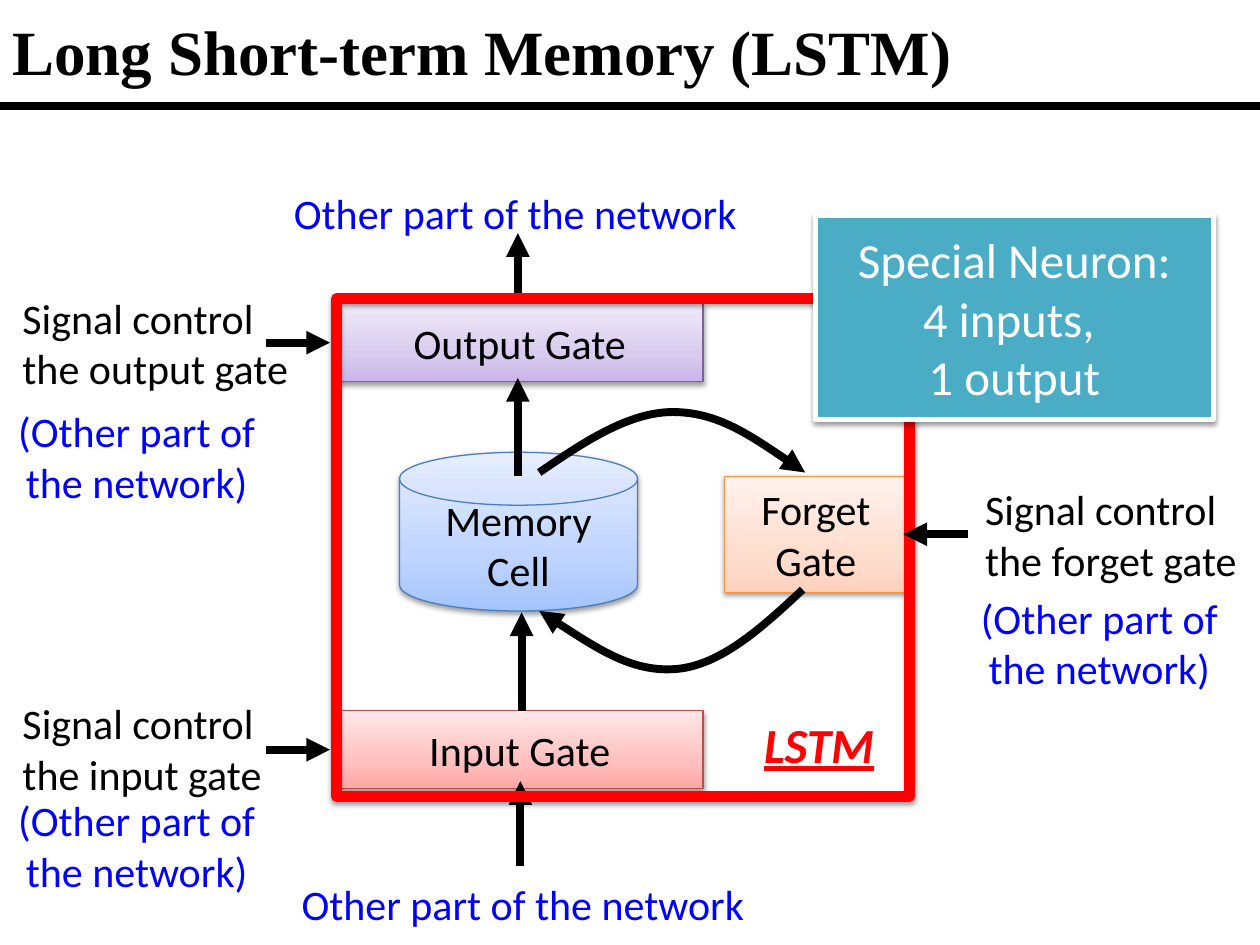
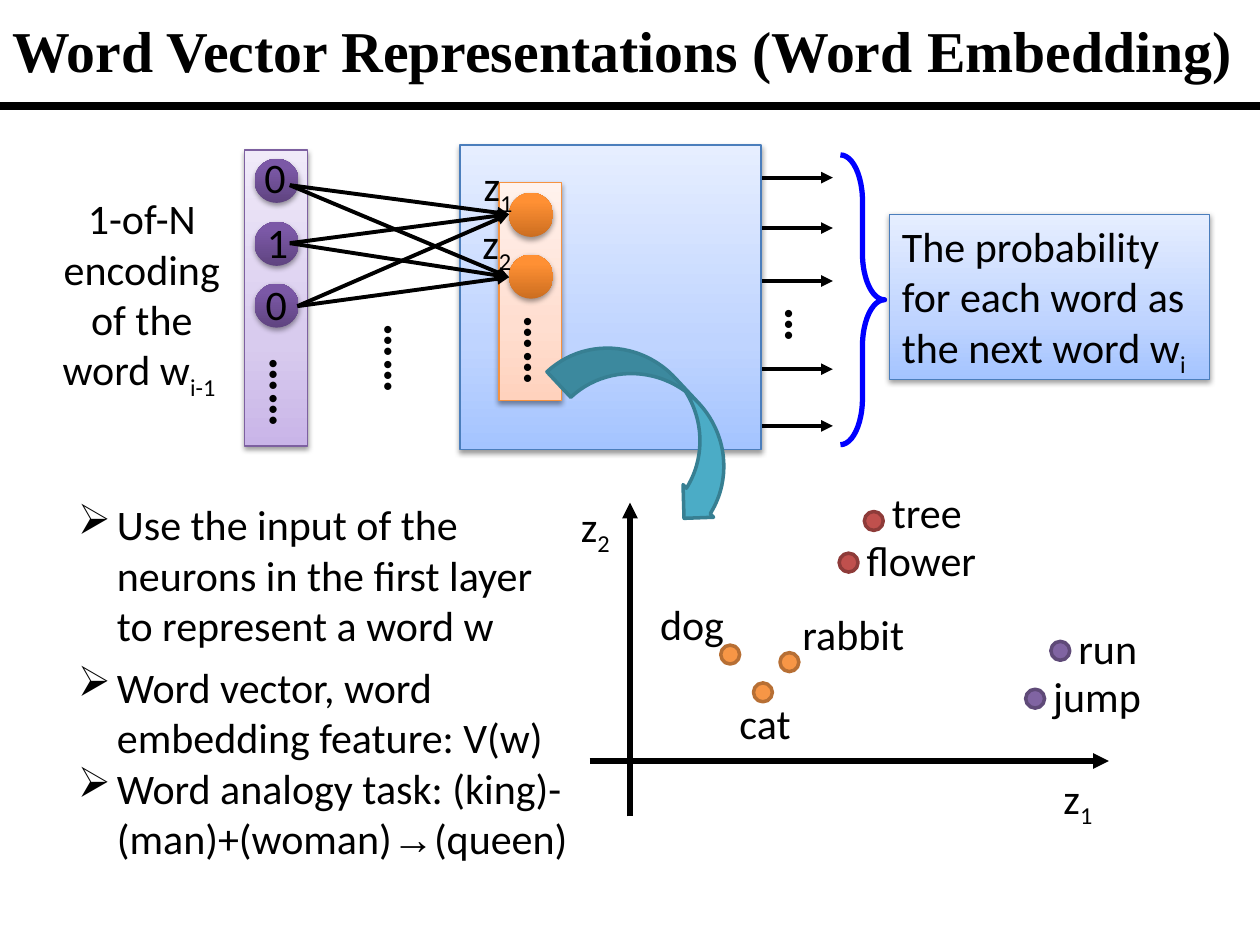
from copy import deepcopy

from pptx import Presentation
from pptx.dml.color import RGBColor
from pptx.enum.shapes import MSO_CONNECTOR, MSO_SHAPE
from pptx.enum.text import MSO_ANCHOR, MSO_AUTO_SIZE, PP_ALIGN
from pptx.oxml import parse_xml
from pptx.oxml.ns import nsdecls, qn
from pptx.oxml.xmlchemy import OxmlElement
from pptx.util import Inches, Pt

LEFT, CENTER = PP_ALIGN.LEFT, PP_ALIGN.CENTER
TOP, MIDDLE = MSO_ANCHOR.TOP, MSO_ANCHOR.MIDDLE
RECT, OVAL, DISK = MSO_SHAPE.RECTANGLE, MSO_SHAPE.OVAL, MSO_SHAPE.FLOWCHART_MAGNETIC_DISK
BRACE, CURVED_ARROW = MSO_SHAPE.RIGHT_BRACE, MSO_SHAPE.CURVED_LEFT_ARROW
STRAIGHT = MSO_CONNECTOR.STRAIGHT
FIT_TEXT = MSO_AUTO_SIZE.SHAPE_TO_FIT_TEXT

BLACK = RGBColor(0x00, 0x00, 0x00)
WHITE = RGBColor(0xFF, 0xFF, 0xFF)
BLUE = RGBColor(0x00, 0x00, 0xFF)
RED = RGBColor(0xFF, 0x00, 0x00)
TEAL = RGBColor(0x4B, 0xAC, 0xC6)
TEAL_EDGE = RGBColor(0x37, 0x7F, 0x92)
ORANGE = RGBColor(0xF7, 0x96, 0x46)
ORANGE_EDGE = RGBColor(0xB7, 0x6F, 0x34)
PURPLE = RGBColor(0x80, 0x64, 0xA2)
PURPLE_EDGE = RGBColor(0x5F, 0x4A, 0x78)
BRICK = RGBColor(0xC0, 0x50, 0x4D)
BRICK_EDGE = RGBColor(0x8E, 0x3B, 0x39)
SKY_LINE = RGBColor(0x4B, 0x7E, 0xBC)
ROSE_LINE = RGBColor(0xBF, 0x4C, 0x48)
LILAC_LINE = RGBColor(0x7D, 0x60, 0xA0)
PEACH_LINE = RGBColor(0xF6, 0x92, 0x40)

SKY = ((0, RGBColor(0xA4, 0xC4, 0xFF)), (0.35, RGBColor(0xBF, 0xD4, 0xFF)), (1, RGBColor(0xE6, 0xEE, 0xFF)))
ROSE = ((0, RGBColor(0xFF, 0xA6, 0xA5)), (0.35, RGBColor(0xFF, 0xC0, 0xBF)), (1, RGBColor(0xFF, 0xE7, 0xE7)))
LILAC = ((0, RGBColor(0xC9, 0xB5, 0xE8)), (0.35, RGBColor(0xD8, 0xCB, 0xEE)), (1, RGBColor(0xF0, 0xEA, 0xF9)))
PEACH = ((0, RGBColor(0xFF, 0xD2, 0xBD)), (0.35, RGBColor(0xFF, 0xDE, 0xD0)), (1, RGBColor(0xFF, 0xF2, 0xED)))
VIOLET = ((0, RGBColor(0x5F, 0x44, 0x80)), (0.8, RGBColor(0x7B, 0x58, 0xA6)), (1, RGBColor(0x7C, 0x57, 0xA8)))
AMBER = ((0, RGBColor(0xCC, 0x6E, 0x20)), (0.8, RGBColor(0xFF, 0x90, 0x34)), (1, RGBColor(0xFF, 0x91, 0x36)))

SHADOW = (
    f'<a:outerShdw {nsdecls("a")} blurRad="39370" dist="20320" dir="5400000" rotWithShape="0">'
    '<a:srgbClr val="000000"><a:alpha val="38000"/></a:srgbClr></a:outerShdw>'
)
BODY = {"name": "Calibri", "size": Pt(24), "bold": False, "italic": False, "underline": False}


def add_block(slide, box, paragraphs=(), preset=None, fill=None, line=None, width=0.75, shadow=False,
              align=LEFT, anchor=TOP, color=BLACK, bullet=None, rotation=0, **font):
    bounds = [Inches(value) for value in box]
    if preset is None:
        block = slide.shapes.add_textbox(*bounds)
        block.text_frame.auto_size = FIT_TEXT
    else:
        block = slide.shapes.add_shape(preset, *bounds)
        block.shadow.inherit = False
        if shadow:
            block.element.spPr.find(qn("a:effectLst")).append(parse_xml(SHADOW))
        if fill is None:
            block.fill.background()
        elif isinstance(fill, RGBColor):
            block.fill.solid()
            block.fill.fore_color.rgb = fill
        else:
            block.fill.gradient()
            block.fill.gradient_angle = 90
            stops = block.element.spPr.find(".//" + qn("a:gsLst"))
            stops.insert(1, deepcopy(stops[0]))
            for stop, (position, tone) in zip(block.fill.gradient_stops, fill):
                stop.position = position
                stop.color.rgb = tone
        if line is None:
            block.line.fill.background()
        else:
            block.line.color.rgb = line
            block.line.width = Pt(width)
    block.rotation = rotation
    frame = block.text_frame
    frame.word_wrap = True
    frame.vertical_anchor = anchor
    for index, text in enumerate(paragraphs):
        paragraph = frame.add_paragraph() if index else frame.paragraphs[0]
        paragraph.alignment = align
        if bullet:
            properties = paragraph._p.get_or_add_pPr()
            properties.set("marL", str(Inches(0.31)))
            properties.set("indent", str(Inches(-0.31)))
            mark = OxmlElement("a:buChar")
            mark.set("char", bullet)
            properties.append(mark)
        for part_index, part in enumerate(text.split("|")):
            run = paragraph.add_run()
            run.text = part
            for key, value in {**BODY, **font}.items():
                setattr(run.font, key, value)
            run.font.color.rgb = color
            if part == "→":
                run.font.name = "Times New Roman"
            elif part_index % 2:
                run.font._element.set("baseline", "-25000")
    return block


def add_stroke(slide, points, width=4.5, head=True):
    spots = [(Inches(x), Inches(y)) for x, y in points]
    if len(spots) == 2:
        stroke = slide.shapes.add_connector(STRAIGHT, *spots[0], *spots[1])
        stroke.element.spPr.append(OxmlElement("a:effectLst"))
    else:
        builder = slide.shapes.build_freeform(*spots[0])
        builder.add_line_segments(spots[1:], close=False)
        stroke = builder.convert_to_shape()
        stroke.fill.background()
        stroke.shadow.inherit = False
        segments = stroke.element.findall(".//" + qn("a:lnTo"))
        for start in range(0, len(segments), 3):
            bend = OxmlElement("a:cubicBezTo")
            segments[start].addprevious(bend)
            for segment in segments[start:start + 3]:
                bend.append(segment[0])
                segment.getparent().remove(segment)
    stroke.line.color.rgb = BLACK
    stroke.line.width = Pt(width)
    if head:
        tail = OxmlElement("a:tailEnd")
        tail.set("type", "triangle")
        stroke.element.spPr.find(qn("a:ln")).append(tail)


deck = Presentation()
deck.slide_width, deck.slide_height = Inches(10), Inches(7.5)

slides = []
for title, size in (("Long Short-term Memory (LSTM)", 36), ("Word Vector Representations (Word Embedding)", 33)):
    slide = deck.slides.add_slide(deck.slide_layouts[6])
    add_stroke(slide, ((0, 0.84), (10, 0.84)), head=False)
    heading = add_block(slide, (0, 0, 10, 0.79), (title,), anchor=MIDDLE,
                        name="Times New Roman", size=Pt(size), bold=True)
    heading.text_frame.auto_size = MSO_AUTO_SIZE.NONE
    slides.append(slide)
lstm, embedding = slides

for preset, box, words, fill, line in (
    (DISK, (3.17, 3.59, 1.89, 1.26), ("Memory", "Cell"), SKY, SKY_LINE),
    (RECT, (2.67, 5.64, 2.91, 0.62), ("Input Gate",), ROSE, ROSE_LINE),
    (RECT, (2.67, 2.41, 2.91, 0.62), ("Output Gate",), LILAC, LILAC_LINE),
    (RECT, (5.75, 3.78, 1.45, 0.92), ("Forget Gate",), PEACH, PEACH_LINE),
):
    add_block(lstm, box, words, preset, fill, line, shadow=True, align=CENTER, anchor=MIDDLE)

for gate, left, top, width, source_top in (
    ("input", 0.08, 5.49, 2.28, 6.26),
    ("output", 0.08, 2.27, 2.47, 3.17),
    ("forget", 7.72, 3.79, 2.28, 4.65),
):
    add_block(lstm, (left, top, width, 0.91), (f"Signal control the {gate} gate",))
    add_block(lstm, (left - 0.06, source_top, 2.13, 0.91), ("(Other part of the network)",),
              align=CENTER, color=BLUE)

for left, top in ((2.17, 6.92), (2.11, 1.44)):
    add_block(lstm, (left, top, 3.96, 0.5), ("Other part of the network",), align=CENTER, color=BLUE)

for flow in (
    ((2.11, 2.72), (2.62, 2.72)),
    ((2.11, 5.95), (2.62, 5.95)),
    ((4.13, 6.87), (4.13, 6.2)),
    ((4.14, 5.64), (4.14, 4.86)),
    ((4.11, 2.41), (4.11, 1.85)),
    ((4.11, 3.78), (4.11, 3)),
    ((4.28, 3.75), (4.63, 3.51), (4.99, 3.27), (5.34, 3.27), (5.69, 3.27), (6.04, 3.51), (6.39, 3.75)),
    ((6.37, 4.68), (6.05, 4.98), (5.72, 5.28), (5.37, 5.31), (5.02, 5.34), (4.65, 5.09), (4.28, 4.85)),
):
    add_stroke(lstm, flow)

add_block(lstm, (2.67, 2.37, 4.55, 3.95), preset=RECT, line=RED, width=6, shadow=True)
add_block(lstm, (5.87, 5.62, 1.26, 0.57), ("LSTM",), align=CENTER, color=RED,
          size=Pt(28), bold=True, italic=True, underline=True)
add_block(lstm, (6.47, 1.71, 3.16, 1.62), ("Special Neuron:", "4 inputs, ", "1 output"), RECT, TEAL, WHITE, 3,
          shadow=True, align=CENTER, anchor=MIDDLE, color=WHITE, size=Pt(28))
add_stroke(lstm, ((7.68, 4.24), (7.17, 4.24)))

brace = add_block(embedding, (6.67, 1.23, 0.35, 2.3), preset=BRACE, line=BLUE, width=3)
brace.adjustments[0] = 1.05
for axis in (((4.68, 6.04), (8.8, 6.04)), ((5, 6.48), (5, 3.99))):
    add_stroke(embedding, axis, 3)
for left, top, name in ((8.22, 6.08, "z|1"), (4.39, 3.92, "z|2")):
    add_block(embedding, (left, top, 0.67, 0.5), (name,), align=CENTER)

for y in (1.41, 1.81, 2.23, 2.93, 3.38):
    add_stroke(embedding, ((5.78, y), (6.61, y)), 2.25)
add_block(embedding, (6.1, 2.34, 0.57, 0.57), ("…",), rotation=90, size=Pt(28), bold=True)

add_block(embedding, (3.65, 1.15, 2.39, 2.42), preset=RECT, fill=SKY, line=SKY_LINE, shadow=True)
add_block(embedding, (0.27, 1.48, 1.71, 1.72), ("1-of-N encoding", "of the word w|i-1 "), align=CENTER)
add_block(embedding, (7.06, 1.7, 2.54, 1.31), ("The probability for each word as the next word w|i",),
          RECT, SKY, SKY_LINE, shadow=True)

for column, fill, line, left, tops, neuron in (
    ((1.94, 1.19, 0.5, 2.35), LILAC, LILAC_LINE, 2.02, (1.26, 1.76, 2.25), VIOLET),
    ((3.96, 1.45, 0.5, 1.73), PEACH, PEACH_LINE, 4.04, (1.53, 2.02), AMBER),
):
    add_block(embedding, column, preset=RECT, fill=fill, line=line, shadow=True)
    for top in tops:
        add_block(embedding, (left, top, 0.35, 0.35), preset=OVAL, fill=neuron, shadow=True)

for left, top in ((1.93, 3.02), (3.95, 2.69), (2.84, 2.75)):
    add_block(embedding, (left, top, 0.93, 0.37), ("……",), rotation=90, size=Pt(28), bold=True)

for left, top, width, value in (
    (2, 1.15, 0.43, "0"), (2.02, 1.67, 0.43, "1"), (2.01, 2.16, 0.43, "0"),
    (3.74, 1.22, 0.6, "z|1"), (3.73, 1.68, 0.6, "z|2"),
):
    add_block(embedding, (left, top, width, 0.5), (value,))

for left, top, fill, edge, word, word_left, word_top in (
    (5.72, 5.12, ORANGE, ORANGE_EDGE, "dog", 5.14, 4.7),
    (5.98, 5.42, ORANGE, ORANGE_EDGE, "cat", 5.77, 5.49),
    (6.19, 5.18, ORANGE, ORANGE_EDGE, "rabbit", 6.27, 4.78),
    (8.14, 5.47, PURPLE, PURPLE_EDGE, "jump", 8.26, 5.27),
    (8.34, 5.09, PURPLE, PURPLE_EDGE, "run", 8.46, 4.89),
    (6.66, 4.39, BRICK, BRICK_EDGE, "flower", 6.78, 4.19),
    (6.86, 4.06, BRICK, BRICK_EDGE, "tree", 6.98, 3.81),
):
    add_block(embedding, (left, top, 0.15, 0.15), preset=OVAL, fill=fill, line=edge, width=2)
    add_block(embedding, (word_left, word_top, 1.28, 0.5), (word,))

to_plot = add_block(embedding, (4.85, 2.47, 0.71, 1.77), preset=CURVED_ARROW, fill=TEAL, line=TEAL_EDGE,
                    width=2, rotation=316.9)
to_plot.adjustments[0] = 0.39

add_block(embedding, (0.52, 3.91, 4.03, 1.31),
          ("Use the input of the neurons in the first layer to represent a word w",), bullet="➢")
add_block(embedding, (0.52, 5.2, 4.33, 1.72),
          ("Word vector, word embedding feature: V(w)",
           "Word analogy task: (king)-(man)+(woman)|→|(queen)"), bullet="➢")

for start in ((2.3, 1.47), (2.3, 1.93), (2.36, 2.43)):
    for end in ((4.04, 1.7), (4.04, 2.2)):
        add_stroke(embedding, (start, end), 2.25)

deck.save("out.pptx")
